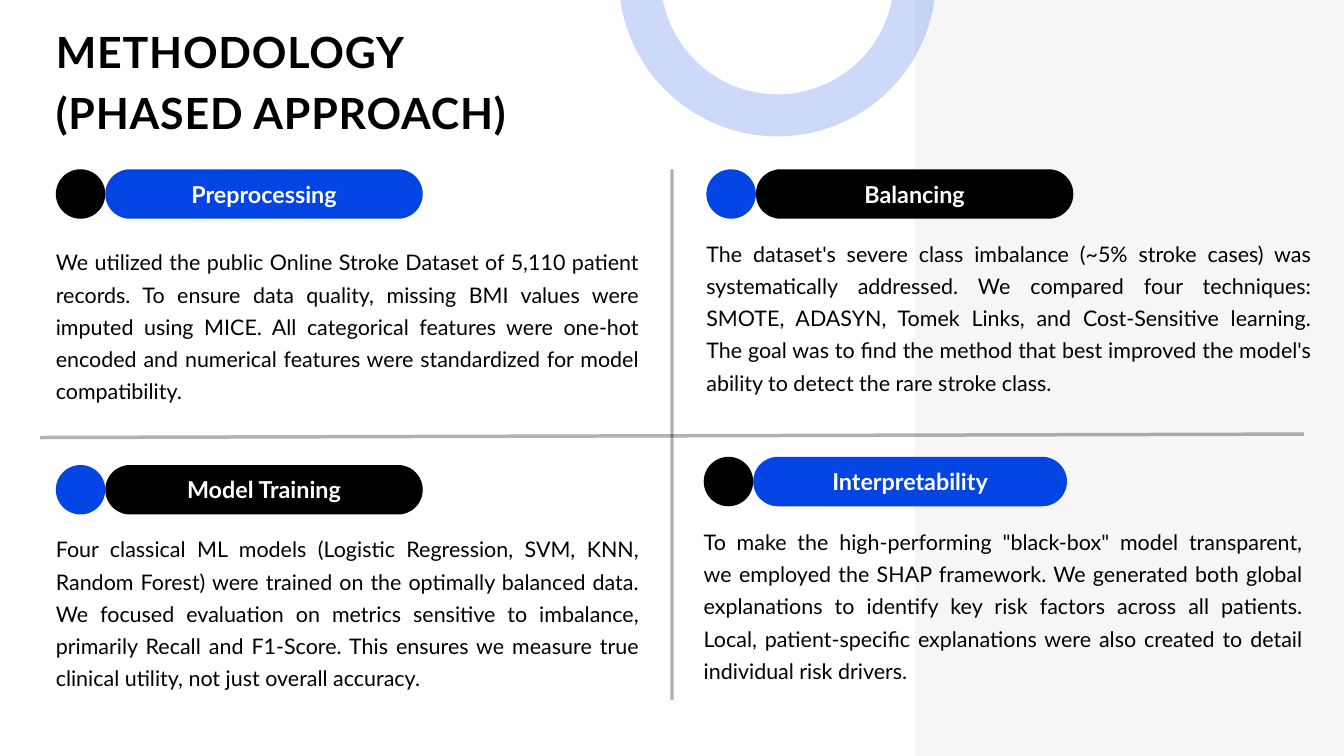
from pptx import Presentation
from pptx import util as u
from pptx.dml.color import RGBColor
from pptx.enum import shapes, text
from pptx.oxml.ns import qn
from lxml import etree

FONT = "Lato"
BLUE, BLACK, WHITE, PALE = "0345E4", "000000", "FFFFFF", "F6F6F6"
DOT = 1.87  # diameter of a phase dot and height of its pill, in cm
COL_1, COL_2 = 2.11, 26.7

# Name, left, top, dot colour, pill colour, pill width, body top, body width, body
PHASES = [
    ("Preprocessing", COL_1, 6.4, BLACK, BLUE, 12, 9.19, 22.07,
     "We utilized the public Online Stroke Dataset of 5,110 patient records. "
     "To ensure data quality, missing BMI values were imputed using MICE. "
     "All categorical features were one-hot encoded and numerical features "
     "were standardized for model compatibility."),
    ("Balancing", COL_2, 6.4, BLUE, BLACK, 12, 8.86, 22.89,
     "The dataset's severe class imbalance (~5% stroke cases) was "
     "systematically addressed. We compared four techniques: SMOTE, ADASYN, "
     "Tomek Links, and Cost-Sensitive learning. The goal was to find the "
     "method that best improved the model's ability to detect the rare "
     "stroke class."),
    ("Model Training", COL_1, 17.58, BLUE, BLACK, 12, 20.04, 22.07,
     "Four classical ML models (Logistic Regression, SVM, KNN, Random Forest) "
     "were trained on the optimally balanced data. We focused evaluation on "
     "metrics sensitive to imbalance, primarily Recall and F1-Score. This "
     "ensures we measure true clinical utility, not just overall accuracy."),
    ("Interpretability", 26.6, 17.27, BLACK, BLUE, 11.86, 19.76, 22.66,
     "To make the high-performing \"black-box\" model transparent, we employed "
     "the SHAP framework. We generated both global explanations to identify "
     "key risk factors across all patients. Local, patient-specific "
     "explanations were also created to detail individual risk drivers."),
]


def rgb(value):
    return RGBColor.from_string(value)


def cm(*lengths):
    return [u.Cm(length) for length in lengths]


def set_line(line, color, width, opacity):
    """Give an outline its colour, width in points and opacity in percent."""
    line.color.rgb = rgb(color)
    line.width = u.Pt(width)
    srgb = line.fill._xPr.find(".//" + qn("a:srgbClr"))
    etree.SubElement(srgb, qn("a:alpha"), val=str(opacity * 1000))


def add_figure(slide, preset, box, fill=None):
    figure = slide.shapes.add_shape(preset, *cm(*box))
    figure.shadow.inherit = False
    figure.line.fill.background()
    if fill:
        figure.fill.solid()
        figure.fill.fore_color.rgb = rgb(fill)
    else:
        figure.fill.background()
    return figure


def add_divider(slide, start, end):
    divider = slide.shapes.add_connector(
        shapes.MSO_CONNECTOR.STRAIGHT, *cm(*start, *end))
    set_line(divider.line, BLACK, 3.75, 30)
    etree.SubElement(divider._element.spPr, qn("a:effectLst"))


def set_frame(frame, anchor, bottom=0):
    frame.word_wrap = True
    frame.auto_size = text.MSO_AUTO_SIZE.NONE
    frame.vertical_anchor = anchor
    frame.margin_left = frame.margin_top = frame.margin_right = 0
    frame.margin_bottom = u.Cm(bottom)


def style(paragraph, size, color, spacing, align, bold=False):
    paragraph.alignment = align
    paragraph.line_spacing = u.Pt(spacing)
    font = paragraph.font
    font.name, font.size, font.bold = FONT, u.Pt(size), bold
    font.color.rgb = rgb(color)


def add_title(slide, lines):
    title = slide.shapes.title
    title.left, title.top, title.width, title.height = cm(COL_1, 0.66, 29.92, 4.42)
    frame = title.text_frame
    set_frame(frame, text.MSO_ANCHOR.TOP)
    frame.text = "\n".join(lines)
    for paragraph in frame.paragraphs:
        style(paragraph, 46, BLACK, 64.4, text.PP_ALIGN.LEFT, bold=True)
        for run in paragraph.runs:
            run._r.get_or_add_rPr().set("spc", "90")


def add_phase(slide, name, left, top, dot_color, pill_color, pill_width,
              body_top, body_width, body):
    # Dot and pill heading
    add_figure(slide, shapes.MSO_SHAPE.OVAL, (left, top, DOT, DOT), dot_color)
    pill = add_figure(slide, shapes.MSO_SHAPE.ROUNDED_RECTANGLE,
                      (left + DOT, top, pill_width, DOT), pill_color)
    pill.adjustments[0] = 0.5
    set_frame(pill.text_frame, text.MSO_ANCHOR.MIDDLE, bottom=0.2)
    pill.text_frame.text = name
    style(pill.text_frame.paragraphs[0], 25, WHITE, 35,
          text.PP_ALIGN.CENTER, bold=True)

    # Description
    description = slide.shapes.add_textbox(*cm(left, body_top, body_width, 6.1))
    set_frame(description.text_frame, text.MSO_ANCHOR.TOP)
    description.text_frame.text = body
    style(description.text_frame.paragraphs[0], 23, BLACK, 34.5,
          text.PP_ALIGN.JUSTIFY)


def main():
    deck = Presentation()
    deck.slide_width, deck.slide_height = cm(50.8, 28.58)
    slide = deck.slides.add_slide(deck.slide_layouts[5])

    # Side panel and dividers
    add_figure(slide, shapes.MSO_SHAPE.RECTANGLE, (34.59, 0, 16.21, 28.58), PALE)
    add_divider(slide, (1.52, 16.54), (49.28, 16.41))
    add_divider(slide, (25.4, 6.4), (25.4, 26.47))

    add_title(slide, ["METHODOLOGY", "(PHASED APPROACH)"])
    for phase in PHASES:
        add_phase(slide, *phase)

    # Ring at the top edge
    ring = add_figure(slide, shapes.MSO_SHAPE.OVAL, (24.18, -6.05, 10.41, 10.41))
    set_line(ring.line, BLUE, 45, 20)

    deck.save("out.pptx")


if __name__ == "__main__":
    main()
